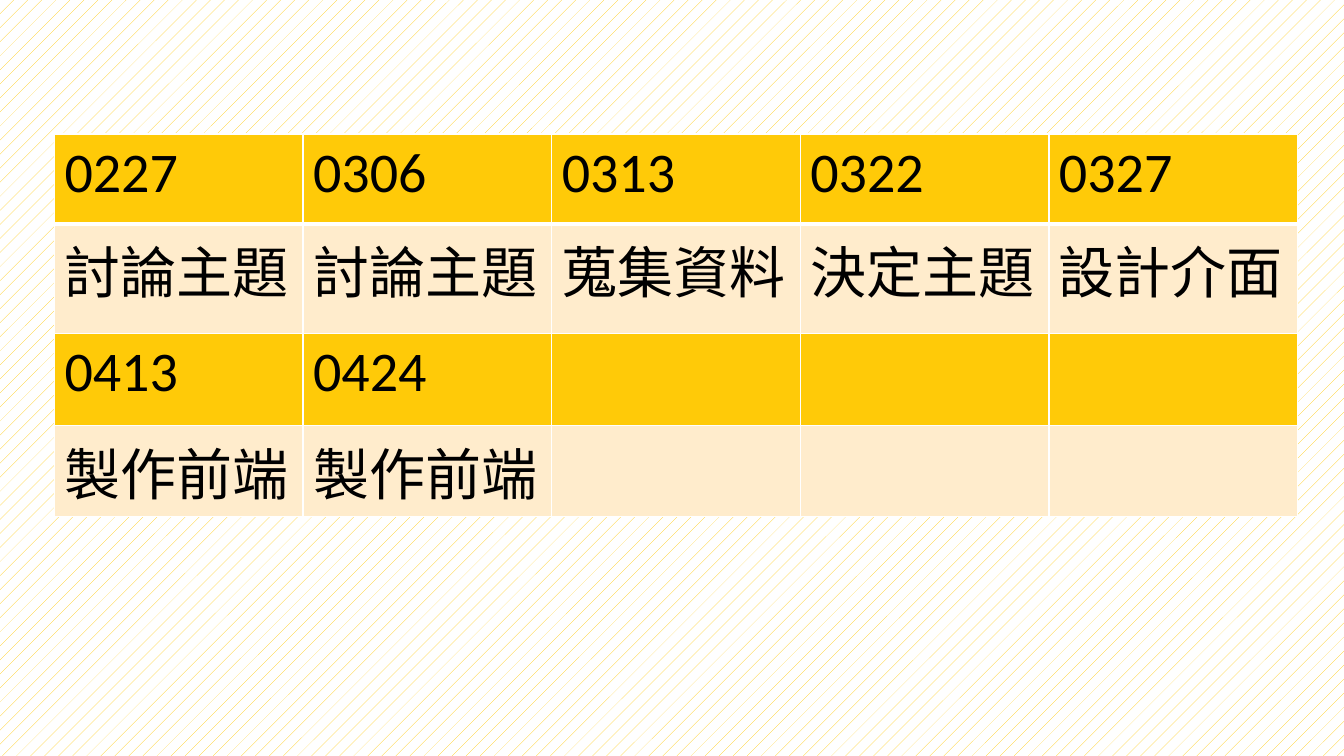
from dataclasses import dataclass

from lxml.etree import SubElement
from pptx import Presentation
from pptx.dml.color import RGBColor
from pptx.enum.dml import MSO_PATTERN
from pptx.oxml.ns import qn
from pptx.slide import Slide
from pptx.table import _Cell
from pptx.util import Inches, Length, Pt

GOLD = RGBColor(0xFF, 0xCA, 0x08)
CREAM = RGBColor(0xFF, 0xEC, 0xCC)
WHITE = RGBColor(0xFF, 0xFF, 0xFF)
BLACK = RGBColor(0x00, 0x00, 0x00)
THIN = Pt(1)
THICK = Pt(3)
MEETINGS_PER_ROW = 5


@dataclass(frozen=True)
class ScheduleRow:
    entries: tuple[str, ...]
    height: Length
    fill: RGBColor
    top: Length = THIN
    bottom: Length = THIN


SCHEDULE = (
    ScheduleRow(("0227", "0306", "0313", "0322", "0327"), Inches(0.89), GOLD, bottom=THICK),
    ScheduleRow(("討論主題", "討論主題", "蒐集資料", "決定主題", "設計介面"), Inches(1.09), CREAM, top=THICK),
    ScheduleRow(("0413", "0424", "", "", ""), Inches(0.91), GOLD),
    ScheduleRow(("製作前端", "製作前端", "", "", ""), Inches(0.89), CREAM),
)


def write_text(cell: _Cell, text: str, *, size: Length, font: str, color: RGBColor) -> None:
    run = cell.text_frame.paragraphs[0].add_run()
    run.text = text
    run.font.size = size
    run.font.name = font
    run.font.bold = False
    run.font.color.rgb = color


def draw_border(cell: _Cell, side: str, width: Length, color: RGBColor) -> None:
    border = SubElement(cell._tc.get_or_add_tcPr(), qn(f"a:ln{side}"), w=str(int(width)))
    SubElement(SubElement(border, qn("a:solidFill")), qn("a:srgbClr"), val=str(color))


def draw_entry(cell: _Cell, entry: str, row: ScheduleRow) -> None:
    for side, width in (("L", THIN), ("R", THIN), ("T", row.top), ("B", row.bottom)):
        draw_border(cell, side, width, WHITE)
    cell.fill.solid()
    cell.fill.fore_color.rgb = row.fill
    if entry:
        write_text(cell, entry, size=Pt(40), font="Calibri", color=BLACK)


def draw_schedule(slide: Slide, rows: tuple[ScheduleRow, ...]) -> None:
    width = Inches(12.33)
    height = sum(row.height for row in rows)
    schedule = slide.shapes.add_table(
        len(rows), MEETINGS_PER_ROW, Inches(0.54), Inches(1.33), width, height
    ).table
    schedule.first_row = False
    schedule.horz_banding = False
    for column in schedule.columns:
        column.width = width // MEETINGS_PER_ROW
    for row_index, row in enumerate(rows):
        schedule.rows[row_index].height = row.height
        for column_index, entry in enumerate(row.entries):
            draw_entry(schedule.cell(row_index, column_index), entry, row)


def paint_background(slide: Slide) -> None:
    backdrop = slide.background.fill
    backdrop.patterned()
    backdrop.pattern = MSO_PATTERN.PERCENT_5
    backdrop.fore_color.rgb = GOLD
    backdrop.back_color.rgb = WHITE


def main() -> None:
    presentation = Presentation()
    presentation.slide_width = Inches(13.33)
    presentation.slide_height = Inches(7.5)
    slide = presentation.slides.add_slide(presentation.slide_layouts[6])
    paint_background(slide)
    draw_schedule(slide, SCHEDULE)
    presentation.save("out.pptx")


main()
